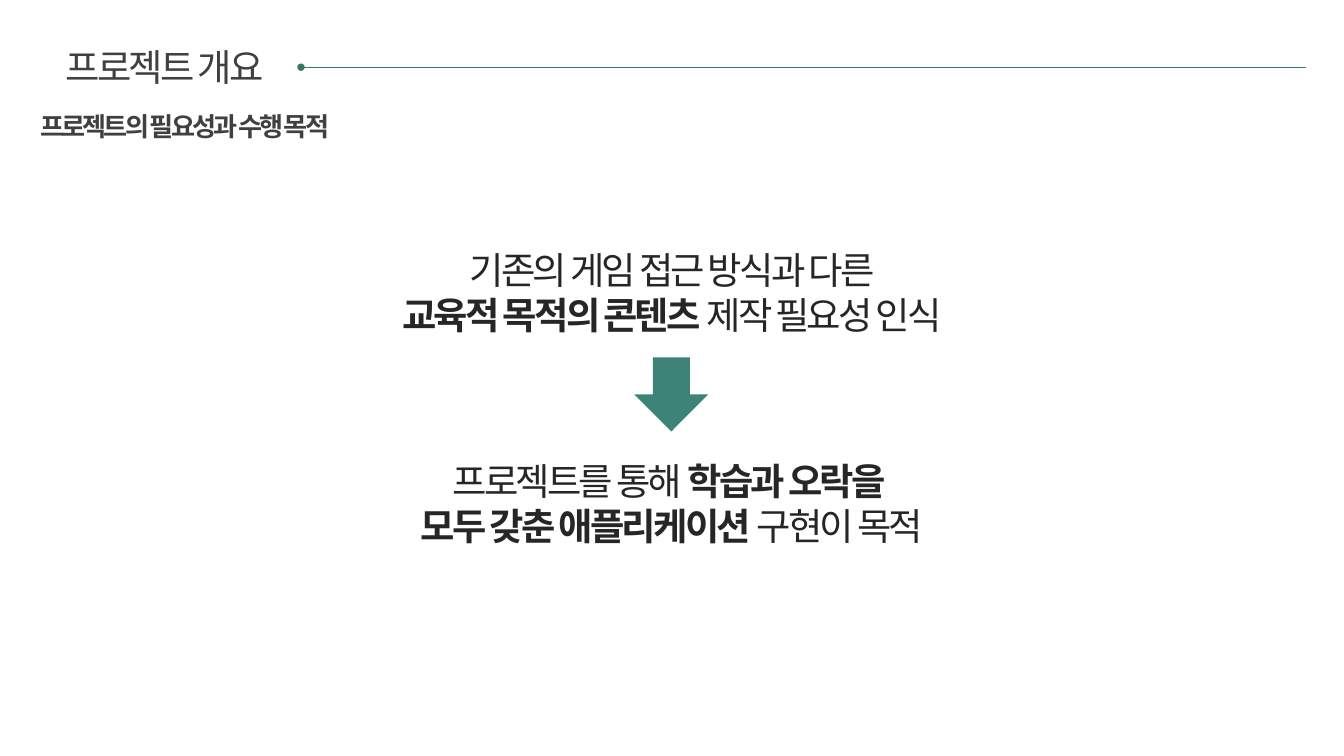
from dataclasses import dataclass

from lxml import etree
from pptx import Presentation
from pptx.dml.color import RGBColor
from pptx.enum.shapes import MSO_CONNECTOR, MSO_SHAPE
from pptx.enum.text import MSO_AUTO_SIZE, PP_ALIGN
from pptx.oxml.ns import qn
from pptx.util import Inches, Pt


@dataclass(frozen=True)
class Theme:
    font: str = "Noto Sans CJK KR"
    heading: RGBColor = RGBColor(0x40, 0x40, 0x40)
    body: RGBColor = RGBColor(0x26, 0x26, 0x26)
    arrow: RGBColor = RGBColor(0x3D, 0x83, 0x77)
    rule: RGBColor = RGBColor(0x32, 0x7A, 0x5D)
    large: int = 20
    small: int = 14
    tracking: float = -1.5


class SlideBuilder:
    def __init__(self, slide, theme):
        self.slide = slide
        self.theme = theme

    def text(self, lines, left, top, width, height, size, color, align=PP_ALIGN.CENTER):
        """Add lines, each a list of (text, bold) pairs."""
        box = self.slide.shapes.add_textbox(
            Inches(left), Inches(top), Inches(width), Inches(height))
        frame = box.text_frame
        frame.word_wrap = True
        frame.auto_size = MSO_AUTO_SIZE.SHAPE_TO_FIT_TEXT
        for index, line in enumerate(lines):
            paragraph = frame.add_paragraph() if index else frame.paragraphs[0]
            paragraph.alignment = align
            for content, bold in line:
                run = paragraph.add_run()
                run.text = content
                self.style_run(run, size, color, bold)

    def style_run(self, run, size, color, bold):
        font = run.font
        font.name = self.theme.font
        font.size = Pt(size)
        font.bold = bold
        font.color.rgb = color
        properties = run._r.get_or_add_rPr()
        properties.set("spc", str(int(self.theme.tracking * 100)))
        east_asian = etree.SubElement(properties, qn("a:ea"))
        east_asian.set("typeface", self.theme.font)

    def down_arrow(self, left, top, side):
        shape = self.slide.shapes.add_shape(
            MSO_SHAPE.RIGHT_ARROW, Inches(left), Inches(top), Inches(side), Inches(side))
        shape.rotation = 90
        shape.shadow.inherit = False
        shape.fill.solid()
        shape.fill.fore_color.rgb = self.theme.arrow
        shape.line.fill.background()

    def dotted_end_rule(self, left, right, y):
        """Add a horizontal rule that starts with a small round dot."""
        rule = self.slide.shapes.add_connector(
            MSO_CONNECTOR.STRAIGHT, Inches(left), Inches(y), Inches(right), Inches(y))
        rule.line.color.rgb = self.theme.rule
        rule.line.width = Pt(0.75)
        dot = etree.SubElement(rule.line._get_or_add_ln(), qn("a:headEnd"))
        for name, value in (("type", "oval"), ("w", "sm"), ("len", "sm")):
            dot.set(name, value)
        etree.SubElement(rule._element.spPr, qn("a:effectLst"))


def main():
    presentation = Presentation()
    presentation.slide_width = Inches(10)
    presentation.slide_height = presentation.slide_width * 9 // 16
    slide = presentation.slides.add_slide(presentation.slide_layouts[6])
    theme = Theme()
    builder = SlideBuilder(slide, theme)

    builder.text([[("프로젝트의 필요성과 수행 목적", True)]],
                 0.2, 0.77, 2.76, 0.34, theme.small, theme.heading, PP_ALIGN.LEFT)

    need = [[("기존의 게임 접근 방식과 다른", False)],
            [("교육적 목적의 콘텐츠", True), (" 제작 필요성 인식", False)]]
    purpose = [[("프로젝트를 통해 ", False), ("학습과 오락을 ", True)],
               [("모두 갖춘 애플리케이션 ", True), ("구현이 목적", False)]]
    for statement, top in ((need, 1.79), (purpose, 3.36)):
        builder.text(statement, 1.73, top, 6.54, 0.77, theme.large, theme.body)
    builder.down_arrow(4.72, 2.66, 0.55)

    builder.dotted_end_rule(2.24, 9.72, 0.5)
    builder.text([[("프로젝트 개요", False)]],
                 0.2, 0.28, 2.05, 0.44, theme.large, theme.heading)
    presentation.save("out.pptx")


if __name__ == "__main__":
    main()
